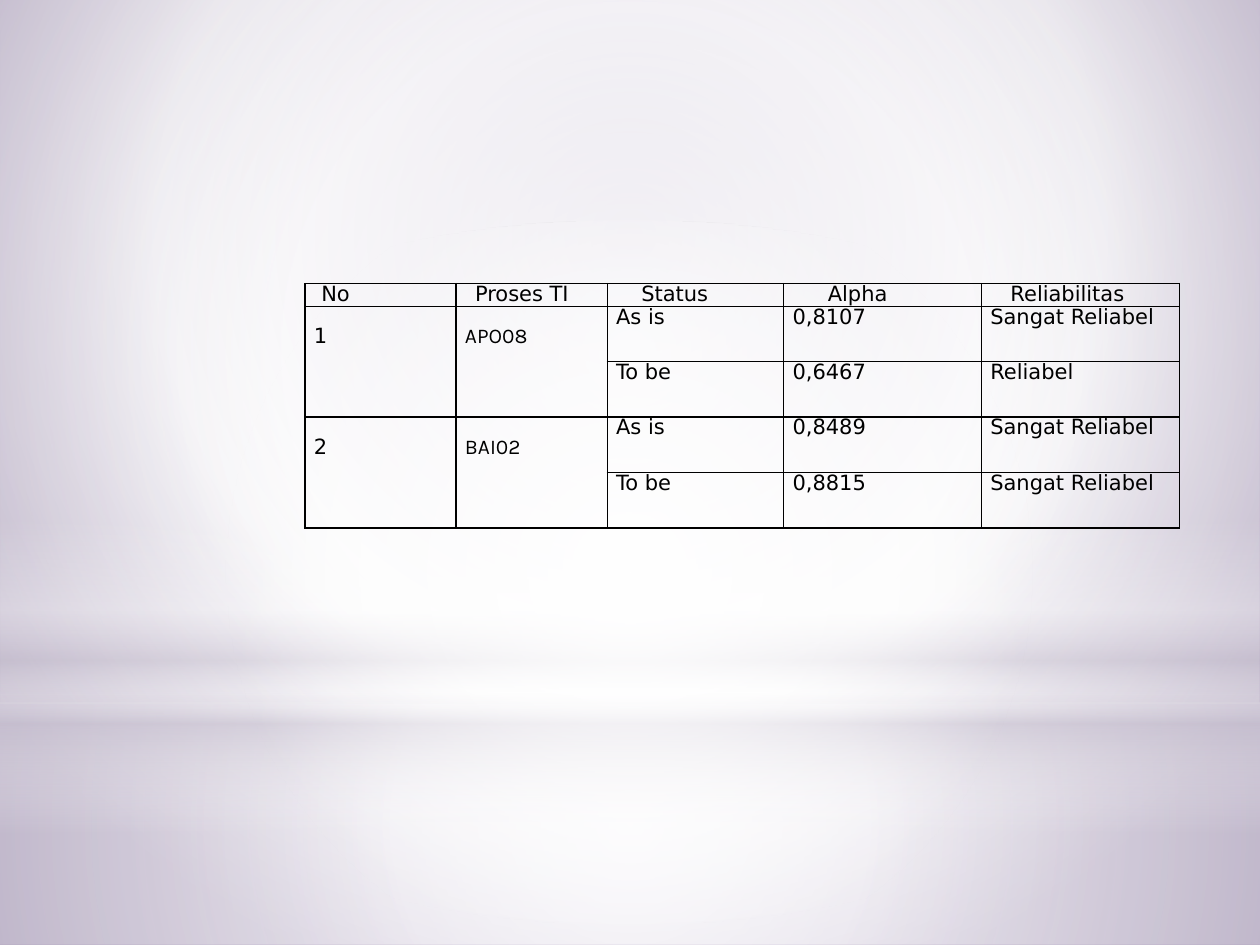
import dataclasses

import lxml.etree
import pptx
import pptx.dml.color
import pptx.enum.shapes
import pptx.oxml.ns
import pptx.util

Inches = pptx.util.Inches
Pt = pptx.util.Pt
qn = pptx.oxml.ns.qn
Kind = pptx.enum.shapes.MSO_SHAPE

BLACK = "000000"
SANS, KARLA = "DejaVu Sans", "Karla"


@dataclasses.dataclass
class Blend:
    stops: list  # (position %, colour, opacity %)
    focus: tuple = (50, 50, 50, 50)  # left, top, right, bottom in %
    angle: int | None = None  # linear when given


@dataclasses.dataclass
class Glow:
    kind: Kind
    top: float
    height: float
    blend: Blend


@dataclasses.dataclass
class Group:
    number: str
    process: str
    rows: list  # (status, alpha, reliability)


BACK = Blend([(0, "C1B7CD", 100), (60, "FFFFFF", 100), (100, "A191B5", 100)],
             (20, 10, 20, 60))
GLOWS = [
    Glow(Kind.RECTANGLE, 5.58, 1.92, Blend(
        [(0, "FFFFFF", 91), (37, "FFFFFF", 76), (100, "C9C2D1", 79)])),
    Glow(Kind.RECTANGLE, 0, 5.58, Blend(
        [(0, "FFFFFF", 89), (48, "FFFFFF", 62), (100, "C9C2D1", 79)])),
    Glow(Kind.RECTANGLE, 4.12, 2.5, Blend(
        [(0, "FFFFFF", 0), (29, "FFFFFF", 30), (45, "C9C2D1", 40),
         (55, "FFFFFF", 26), (65, "C9C2D1", 60), (100, "FFFFFF", 0)], angle=90)),
    Glow(Kind.OVAL, 1.75, 5.58, Blend([(0, "FFFFFF", 100), (56, "FFFFFF", 0)])),
]

HEADS = [("No", 0.13), ("Proses TI", 0.15), ("Status", 0.27),
         ("Alpha", 0.35), ("Reliabilitas", 0.23)]
WIDTHS = [1.2, 1.2, 1.4, 1.57, 1.57]
HEAD_H, ROW_H = 0.18, 0.44
GROUPS = [
    Group("1", "APO08", [("As is", "0,8107", "Sangat Reliabel"),
                         ("To be", "0,6467", "Reliabel")]),
    Group("2", "BAI02", [("As is", "0,8489", "Sangat Reliabel"),
                         ("To be", "0,8815", "Sangat Reliabel")]),
]


def rgb(code: str) -> pptx.dml.color.RGBColor:
    return pptx.dml.color.RGBColor.from_string(code)


def node(parent, tag: str, **attrs):
    """Add a child element with the given attributes."""
    child = lxml.etree.SubElement(parent, qn(tag))
    for key, value in attrs.items():
        child.set(key, str(value))
    return child


def shade(fill, owner, blend: Blend) -> None:
    """Fill the owner with a gradient that has its own stops and focus."""
    fill.gradient()
    grad = owner.find(qn("a:gradFill"))
    for child in list(grad):
        grad.remove(child)
    stops = node(grad, "a:gsLst")
    for pos, code, alpha in blend.stops:
        stop = node(stops, "a:gs", pos=pos * 1000)
        color = node(stop, "a:srgbClr", val=code)
        if alpha < 100:
            node(color, "a:alpha", val=alpha * 1000)
    if blend.angle is not None:
        node(grad, "a:lin", ang=blend.angle * 60000, scaled=0)
    else:
        way = node(grad, "a:path", path="circle")
        sides = {k: v * 1000 for k, v in zip("ltrb", blend.focus)}
        node(way, "a:fillToRect", **sides)


def draw_glow(slide, glow: Glow) -> None:
    shape = slide.shapes.add_shape(
        glow.kind, 0, Inches(glow.top), Inches(10), Inches(glow.height))
    shape.shadow.inherit = False
    shape.line.fill.background()
    shade(shape.fill, shape.element.spPr, glow.blend)


def frame(cell) -> None:
    """Clear a cell's fill and margins and give it thin black borders."""
    cell.fill.background()
    cell.margin_left = cell.margin_right = 0
    cell.margin_top = cell.margin_bottom = 0
    props = cell._tc.get_or_add_tcPr()
    for spot, side in enumerate(("lnL", "lnR", "lnT", "lnB")):
        line = node(props, "a:" + side, w=Pt(1))
        node(node(line, "a:solidFill"), "a:srgbClr", val=BLACK)
        props.insert(spot, line)


def write(cell, text: str, indent: float = 0.07, face: str = SANS,
          pitch: int | None = 13) -> None:
    para = cell.text_frame.paragraphs[0]
    para.text = text
    para.font.name, para.font.size = face, Pt(12)
    para.font.color.rgb = rgb(BLACK)
    if pitch:
        para.line_spacing = Pt(pitch)
    props = para._p.get_or_add_pPr()
    props.set("marL", str(Inches(indent)))
    props.set("indent", "0")


def draw_table(slide) -> None:
    count = 1 + sum(len(group.rows) for group in GROUPS)
    table = slide.shapes.add_table(
        count, len(HEADS), Inches(2.42), Inches(2.25), Inches(sum(WIDTHS)),
        Inches(HEAD_H + ROW_H * (count - 1))).table
    table.first_row = table.horz_banding = False
    for col, width in zip(table.columns, WIDTHS):
        col.width = Inches(width)
    for i, row in enumerate(table.rows):
        row.height = Inches(ROW_H if i else HEAD_H)
    for cell in table.iter_cells():
        frame(cell)
        cell.text_frame.paragraphs[0].font.size = Pt(12)

    # Header row
    for col, (text, indent) in enumerate(HEADS):
        write(table.cell(0, col), text, indent)

    # One merged number and process per group, beside its status rows
    top = 1
    for group in GROUPS:
        last = top + len(group.rows) - 1
        for col, text, face in ((0, group.number, SANS), (1, group.process, KARLA)):
            cell = table.cell(top, col)
            cell.merge(table.cell(last, col))
            cell.margin_top = Inches(0.14)
            write(cell, text, face=face, pitch=None)
        for row, values in enumerate(group.rows, top):
            for col, text in enumerate(values, 2):
                write(table.cell(row, col), text)
        top = last + 1


def main() -> None:
    deck = pptx.Presentation()
    deck.slide_width, deck.slide_height = Inches(10), Inches(7.5)
    slide = deck.slides.add_slide(deck.slide_layouts[6])

    # Backdrop
    fill = slide.background.fill
    shade(fill, slide.element.find(".//" + qn("p:bgPr")), BACK)
    for glow in GLOWS:
        draw_glow(slide, glow)

    draw_table(slide)
    deck.save("out.pptx")


if __name__ == "__main__":
    main()
